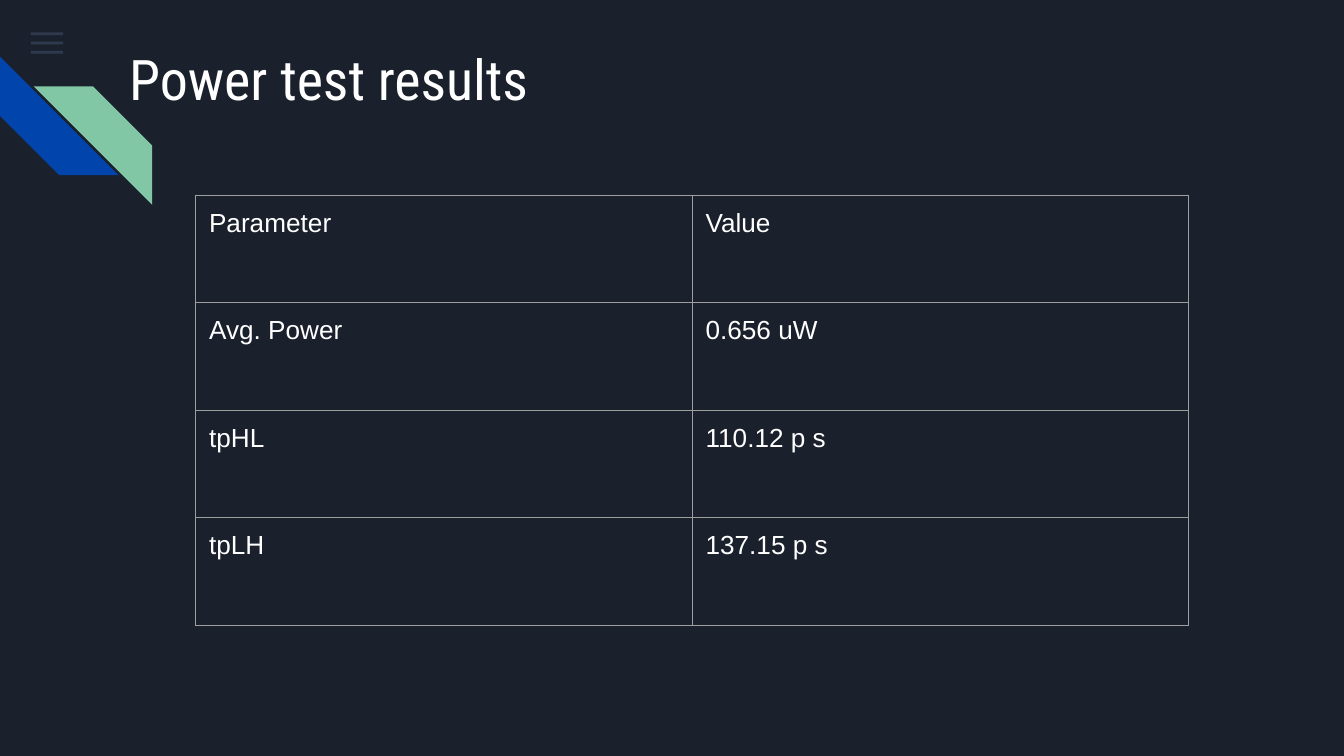
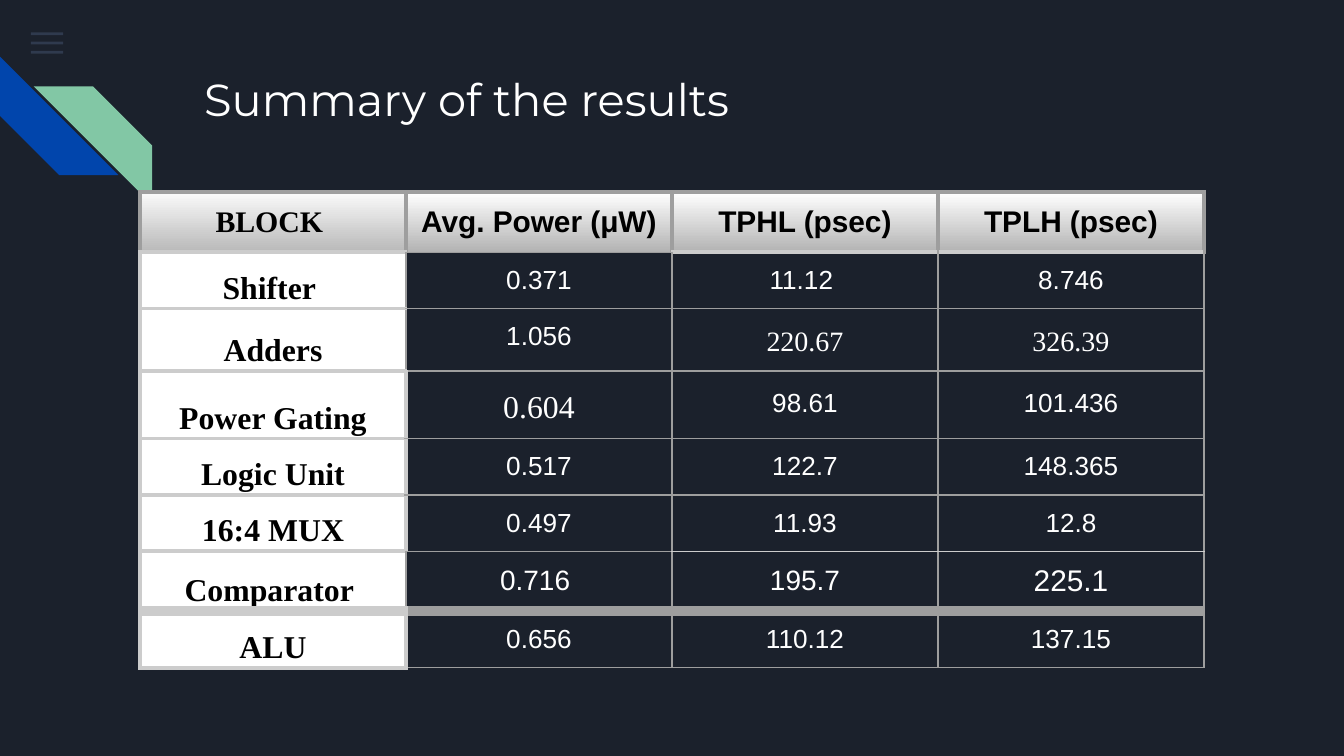
from lxml.etree import SubElement
from pptx import Presentation
from pptx.dml.color import RGBColor
from pptx.enum.shapes import MSO_SHAPE as SHAPE
from pptx.enum.text import MSO_ANCHOR as ANCHOR, PP_ALIGN as ALIGN
from pptx.oxml import parse_xml
from pptx.oxml.ns import nsdecls, qn
from pptx.util import Pt

NAVY = RGBColor(0x1B, 0x21, 0x2C)
SLATE = RGBColor(0x55, 0x68, 0x8B)
BLUE = RGBColor(0x01, 0x45, 0xAC)
GREEN = RGBColor(0x82, 0xC7, 0xA5)
WHITE = RGBColor(0xFF, 0xFF, 0xFF)
BLACK = RGBColor(0, 0, 0)
GREY = RGBColor(0x9E, 0x9E, 0x9E)
LIGHT = RGBColor(0xCC, 0xCC, 0xCC)
BLOCK_GRADIENT = RGBColor(0xFA, 0xFA, 0xFA), RGBColor(0xB9, 0xB9, 0xB9)
HEAD_GRADIENT = WHITE, RGBColor(0xB3, 0xB3, 0xB3)

SANS, SERIF = "Arial", "Times New Roman"
THIN, WIDE, LIGHT_WIDE = (GREY, 0.75), (GREY, 2.25), (LIGHT, 2.25)

POWER_TITLE = "Power test results"
POWER_ROWS = [
    ("Parameter", "Value"),
    ("Avg. Power", "0.656 uW"),
    ("tpHL", "110.12 p s"),
    ("tpLH", "137.15 p s"),
]

SUMMARY_TITLE = "Summary of the results"
SUMMARY_ROWS = [
    ("BLOCK ", "Avg. Power (μW)", "TPHL (psec)", "TPLH (psec)"),
    ("Shifter ", "0.371", "11.12 ", "8.746"),
    ("Adders", "1.056", "220.67", "326.39"),
    ("Power Gating", "0.604", "98.61", "101.436"),
    ("Logic Unit", "0.517", "122.7", "148.365"),
    ("16:4 MUX", "0.497", "11.93", "12.8"),
    ("Comparator ", "0.716 ", "195.7", "225.1"),
    ("ALU", "0.656", "110.12", "137.15"),
]
SHIFTER, ADDERS, GATING, LOGIC, MUX, COMPARATOR, ALU = range(1, 8)
# (row, column): font name, size, line spacing of values set apart from the rest
SPECIAL_VALUES = {
    (ADDERS, 2): (SERIF, 15, 1.15),
    (ADDERS, 3): (SERIF, 15, 1.15),
    (GATING, 1): (SERIF, 17, 1.15),
    (GATING, 2): (SANS, 14, 1.15),
    (GATING, 3): (SANS, 14, 1.15),
    (COMPARATOR, 1): (SANS, 15, None),
    (COMPARATOR, 2): (SANS, 15, None),
    (COMPARATOR, 3): (SANS, 16, None),
}


def set_font(p, name, size, color, bold=False):
    for key, value in {"name": name, "size": Pt(size), "bold": bold}.items():
        setattr(p.font, key, value)
    p.font.color.rgb = color


def set_margins(frame, x, y):
    for side, value in {"left": x, "right": x, "top": y, "bottom": y}.items():
        setattr(frame, f"margin_{side}", Pt(value))


def add_filled(slide, kind, box, color):
    sp = slide.shapes.add_shape(kind, *map(Pt, box))
    sp.shadow.inherit = False
    sp.fill.solid()
    sp.fill.fore_color.rgb = color
    sp.line.fill.background()
    return sp


def decorate_layout(layout, slide):
    """Draw the menu bars and stripes on the slide, then move them to its layout."""
    layout.background.fill.solid()
    layout.background.fill.fore_color.rgb = NAVY
    parts = []
    for i in range(3):
        bar = add_filled(slide, SHAPE.RECTANGLE, (16.6, 17.4 + 4.9 * i, 17.3, 1.5), SLATE)
        color = bar._element.spPr.find(".//" + qn("a:srgbClr"))
        SubElement(color, qn("a:alpha"), val="36000")
        parts.append(bar)
    blue = add_filled(slide, SHAPE.DIAGONAL_STRIPE, (0, 30.3, 63.5, 63.5), BLUE)
    blue.rotation = 270
    green = add_filled(slide, SHAPE.DIAGONAL_STRIPE, (18.1, 46.3, 63.5, 63.5), GREEN)
    green._element.spPr.xfrm.set("flipH", "1")
    for n, sp in enumerate(parts + [blue, green], start=20):
        sp._element.nvSpPr.cNvPr.set("id", str(n))
        layout.shapes._spTree.append(sp._element)


def set_title(slide, text, left, top, font, size):
    title = slide.shapes.title
    for key, value in {"left": left, "top": top, "width": 554.4, "height": 72}.items():
        setattr(title, key, Pt(value))
    tf = title.text_frame
    tf.word_wrap = True
    tf.vertical_anchor = ANCHOR.TOP
    set_margins(tf, 7.2, 7.2)
    tf.text = text
    p = tf.paragraphs[0]
    p.alignment = ALIGN.LEFT
    set_font(p, font, size, WHITE)


def add_table(slide, rows, left, top, col_width, row_height):
    n_rows, n_cols = len(rows), len(rows[0])
    frame = slide.shapes.add_table(n_rows, n_cols, Pt(left), Pt(top),
                                   Pt(col_width * n_cols), Pt(row_height * n_rows))
    table = frame.table
    table.first_row = table.horz_banding = False
    for col in table.columns:
        col.width = Pt(col_width)
    for row in table.rows:
        row.height = Pt(row_height)
    for r, values in enumerate(rows):
        for c, value in enumerate(values):
            cell = table.cell(r, c)
            cell.text = value
            cell.fill.background()
            set_margins(cell, 7.2, 7.2)
    return table


def set_borders(cell, **sides):
    """Draw all four sides, thin grey unless L, R, T or B says otherwise."""
    tcPr = cell._tc.get_or_add_tcPr()
    for i, side in enumerate("LRTB"):
        color, width = sides.get(side, THIN)
        tcPr.insert(i, parse_xml(
            f'<a:ln{side} {nsdecls("a")} w="{Pt(width)}"><a:solidFill>'
            f'<a:srgbClr val="{color}"/></a:solidFill></a:ln{side}>'))


def format_head(cell, c):
    first = c == 0
    set_font(cell.text_frame.paragraphs[0], SERIF if first else SANS, 16, BLACK, True)
    cell.fill.gradient()
    cell.fill.gradient_angle = 270
    for stop, color in zip(cell.fill.gradient_stops, BLOCK_GRADIENT if first else HEAD_GRADIENT):
        stop.color.rgb = color
    for stop, position in zip(cell.fill.gradient_stops, (0, 1)):
        stop.position = position
    set_borders(cell, L=WIDE, R=WIDE, T=WIDE, B=THIN if c == 1 else LIGHT_WIDE)


def format_block(cell, r):
    p = cell.text_frame.paragraphs[0]
    set_font(p, SERIF, 17, BLACK, True)
    p.line_spacing = 1.15
    cell.vertical_anchor = ANCHOR.BOTTOM
    set_margins(cell, 2.2, 1.4)
    cell.fill.solid()
    cell.fill.fore_color.rgb = WHITE
    set_borders(cell, L=LIGHT_WIDE,
                R=THIN if r in (SHIFTER, ADDERS, COMPARATOR) else LIGHT_WIDE,
                T=(LIGHT, 6) if r == ALU else LIGHT_WIDE,
                B=(LIGHT, 6) if r == COMPARATOR else LIGHT_WIDE)


def format_value(cell, r, c):
    name, size, spacing = SPECIAL_VALUES.get((r, c), (SANS, 14, None))
    p = cell.text_frame.paragraphs[0]
    set_font(p, name, size, WHITE)
    p.line_spacing = spacing
    sides = {}
    if c == 1 and r in (GATING, LOGIC, MUX, ALU):
        sides["L"] = LIGHT_WIDE
    if c > 1:
        sides.update({SHIFTER: {"T": LIGHT_WIDE}, MUX: {"B": (LIGHT, 0.75)},
                      COMPARATOR: {"T": (LIGHT, 0.75)}}.get(r, {}))
    if r == COMPARATOR:
        sides["B"] = (GREY, 6)
    if r == ALU:
        sides["T"] = (GREY, 6)
    set_borders(cell, **sides)


def build_power(slide):
    set_title(slide, POWER_TITLE, 62, 16.6, "Roboto Condensed", 30)
    for cell in add_table(slide, POWER_ROWS, 104.8, 104.6, 266, 57.6).iter_cells():
        set_font(cell.text_frame.paragraphs[0], SANS, 14, WHITE)
        set_borders(cell)


def build_summary(slide):
    set_title(slide, SUMMARY_TITLE, 102.2, 31, "Montserrat", 24)
    table = add_table(slide, SUMMARY_ROWS, 75, 102.9, 142.5, 30.2)
    for r, row in enumerate(table.rows):
        for c, cell in enumerate(row.cells):
            cell.text_frame.paragraphs[0].alignment = ALIGN.CENTER
            if r == 0:
                format_head(cell, c)
            elif c == 0:
                format_block(cell, r)
            else:
                format_value(cell, r, c)


def main():
    prs = Presentation()
    prs.slide_width, prs.slide_height = Pt(720), Pt(405)
    layout = prs.slide_layouts[5]
    power, summary = (prs.slides.add_slide(layout) for _ in range(2))
    decorate_layout(layout, power)
    build_power(power)
    build_summary(summary)
    prs.save("out.pptx")


if __name__ == "__main__":
    main()
